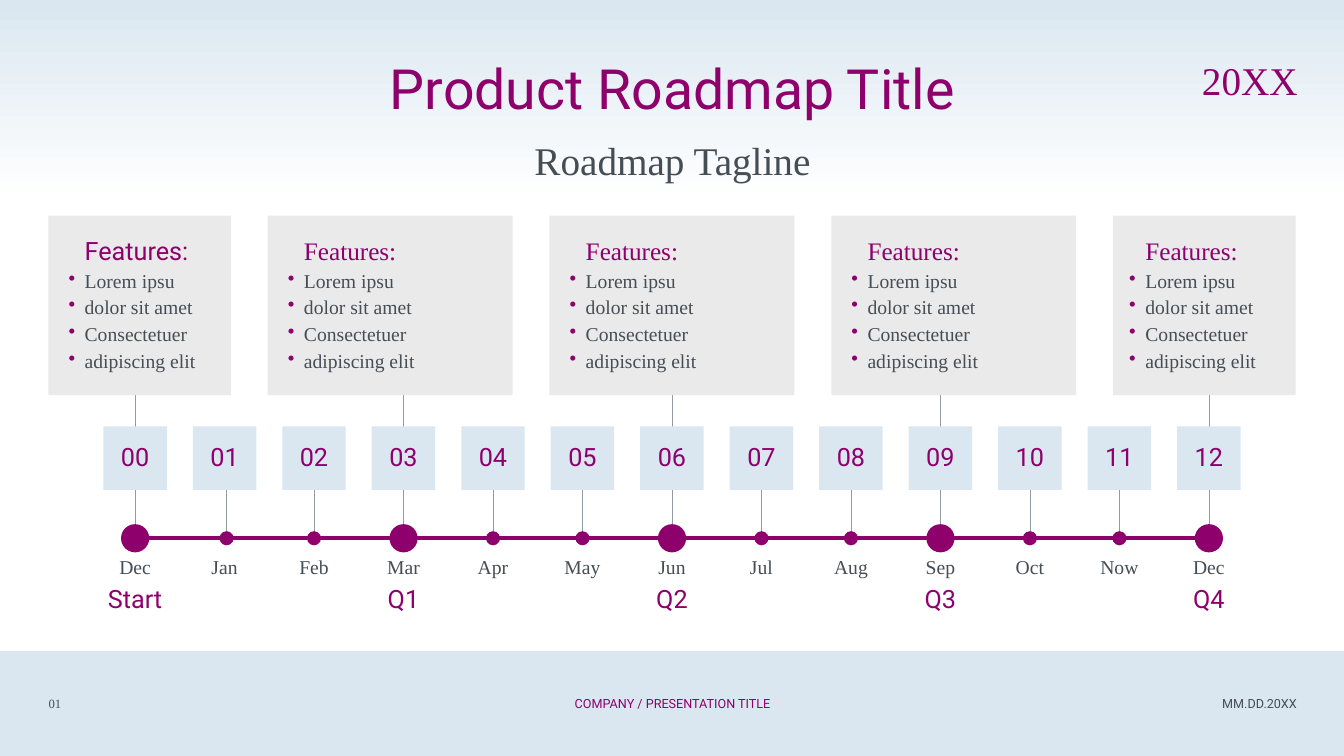
from lxml.etree import SubElement
from pptx import Presentation
from pptx.dml.color import RGBColor
from pptx.enum.shapes import MSO_CONNECTOR as Connector, MSO_SHAPE as Preset
from pptx.enum.text import MSO_ANCHOR as Anchor, PP_ALIGN as Align
from pptx.oxml.ns import qn
from pptx.util import Inches, Pt

PLUM = RGBColor(0x8E, 0x00, 0x6C)
SLATE = RGBColor(0x45, 0x4D, 0x55)
STEM_GREY = RGBColor(0x93, 0x99, 0xA1)
CARD_GREY = RGBColor(0xEA, 0xEA, 0xEA)
PALE_BLUE = RGBColor(0xDA, 0xE7, 0xF0)
WHITE = RGBColor(0xFF, 0xFF, 0xFF)
SANS, SERIF = "Roboto", "Times New Roman"

MONTHS = ["Dec", "Jan", "Feb", "Mar", "Apr", "May", "Jun",
          "Jul", "Aug", "Sep", "Oct", "Now", "Dec"]
MILESTONES = ["Start", "Q1", "Q2", "Q3", "Q4"]
FEATURES = ["Lorem ipsu", "dolor sit amet", "Consectetuer", "adipiscing elit"]
CARD_WIDTHS = [1.81, 2.43, 2.43, 2.43, 1.81]
CARD_LEFT, CARD_GAP = 0.48, 0.365
AXIS_START, AXIS_END, AXIS_Y = 1.34, 11.99, 5.34
NO_INSETS = (0, 0, 0, 0)
BOX_INSETS = (0.1, 0.05, 0.1, 0.05)


class RoadmapSlide:
    """Draws roadmap elements in one style on the current slide."""

    def __init__(self, slide):
        self.slide = slide

    def shape(self, preset, left, top, width, height, fill):
        shape = self.slide.shapes.add_shape(
            preset, Inches(left), Inches(top), Inches(width), Inches(height))
        shape.shadow.inherit = False
        shape.line.fill.background()
        shape.fill.solid()
        shape.fill.fore_color.rgb = fill
        return shape

    def header_band(self):
        band = self.shape(Preset.RECTANGLE, 0, -0.01, 13.33, 2.01, PALE_BLUE)
        band.fill.gradient()
        band.fill.gradient_angle = 270
        for stop, position, color in zip(band.fill.gradient_stops, (0, 1), (PALE_BLUE, WHITE)):
            stop.position = position
            stop.color.rgb = color

    def dot(self, x, y, size):
        self.shape(Preset.OVAL, x - size / 2, y - size / 2, size, size, PLUM)

    def line(self, x1, y1, x2, y2, color, width):
        line = self.slide.shapes.add_connector(
            Connector.STRAIGHT, Inches(x1), Inches(y1), Inches(x2), Inches(y2))
        line.line.color.rgb = color
        line.line.width = Pt(width)
        SubElement(line._element.spPr, qn("a:effectLst"))

    def frame(self, shape, insets, anchor=Anchor.MIDDLE):
        frame = shape.text_frame
        frame.word_wrap = True
        frame.vertical_anchor = anchor
        (frame.margin_left, frame.margin_top,
         frame.margin_right, frame.margin_bottom) = map(Inches, insets)
        return frame

    def style(self, paragraph, size, font, color, align=Align.LEFT, spacing=0.9, before=0):
        paragraph.alignment = align
        paragraph.line_spacing = spacing
        paragraph.space_before = Pt(before)
        for run in paragraph.runs:
            run.font.size = Pt(size)
            run.font.name = font
            run.font.color.rgb = color

    def text(self, text, left, top, width, height, size, font, color,
             align=Align.CENTER, insets=NO_INSETS, anchor=Anchor.MIDDLE, spacing=0.9):
        box = self.slide.shapes.add_textbox(
            Inches(left), Inches(top), Inches(width), Inches(height))
        frame = self.frame(box, insets, anchor)
        frame.text = text
        self.style(frame.paragraphs[0], size, font, color, align, spacing)

    def number_box(self, center, number):
        box = self.shape(Preset.RECTANGLE, center - 0.315, 4.23, 0.63, 0.63, PALE_BLUE)
        frame = self.frame(box, BOX_INSETS)
        frame.text = f"{number:02d}"
        self.style(frame.paragraphs[0], 18, SANS, PLUM, Align.CENTER, before=10)

    def card(self, left, width, heading_font, inset):
        card = self.shape(Preset.RECTANGLE, left, 2.14, width, 1.78, CARD_GREY)
        frame = self.frame(card, (inset, 0.05, 0.1, 0.05))
        frame.text = "\n".join(["Features:"] + FEATURES)
        heading, *items = frame.paragraphs
        self.style(heading, 18, heading_font, PLUM, before=4)
        heading._p.get_or_add_pPr().set("marL", str(Inches(0.16)))
        for item in items:
            self.style(item, 14, SERIF, SLATE, before=4)
            self.bullet(item)

    def bullet(self, paragraph):
        properties = paragraph._p.get_or_add_pPr()
        properties.set("marL", str(Inches(0.16)))
        properties.set("indent", str(Inches(-0.16)))
        color = SubElement(properties, qn("a:buClr"))
        SubElement(color, qn("a:srgbClr"), val=str(PLUM))
        SubElement(properties, qn("a:buChar"), char="•")


def main():
    presentation = Presentation()
    presentation.slide_width = Inches(13.33)
    presentation.slide_height = Inches(7.5)
    roadmap = RoadmapSlide(presentation.slides.add_slide(presentation.slide_layouts[6]))

    roadmap.shape(Preset.RECTANGLE, 0, 6.46, 13.33, 1.04, PALE_BLUE)
    roadmap.header_band()
    roadmap.text("Product Roadmap Title", 1.67, 0.56, 10, 0.75, 39.6, SANS, PLUM,
                 insets=BOX_INSETS, anchor=Anchor.TOP)
    roadmap.text("Roadmap Tagline", 1.67, 1.36, 10, 0.54, 28, SERIF, SLATE,
                 insets=BOX_INSETS, anchor=Anchor.TOP)
    roadmap.text("20XX", 11.82, 0.52, 1.05, 0.6, 28, SERIF, PLUM, Align.RIGHT)

    roadmap.line(AXIS_START, AXIS_Y, AXIS_END, AXIS_Y, PLUM, 2.84)
    pitch = (AXIS_END - AXIS_START) / (len(MONTHS) - 1)
    for number, month in enumerate(MONTHS):
        center = AXIS_START + number * pitch
        quarter, month_in_quarter = divmod(number, 3)
        if month_in_quarter == 0:
            roadmap.line(center, 5.37, center, 3.92, STEM_GREY, 0.5)
            roadmap.dot(center, AXIS_Y, 0.28)
            roadmap.text(MILESTONES[quarter], center - 0.365, 5.81, 0.73, 0.29, 18, SANS, PLUM)
        else:
            stem = center + 0.02 if month == "Jan" else center
            roadmap.line(stem, AXIS_Y, stem, 4.86, STEM_GREY, 0.5)
            roadmap.dot(stem, AXIS_Y, 0.14)
        roadmap.number_box(center, number)
        roadmap.text(month, center - 0.365, 5.49, 0.73, 0.29, 14, SERIF, SLATE)

    left = CARD_LEFT
    for index, width in enumerate(CARD_WIDTHS):
        heading_font = SANS if index == 0 else SERIF
        inset = 0.16 if index == len(CARD_WIDTHS) - 1 else 0.2
        roadmap.card(left, width, heading_font, inset)
        left += width + CARD_GAP

    for text, left, width, font, color, align in [
        ("01", 0.31, 0.47, SERIF, SLATE, Align.CENTER),
        ("COMPANY / PRESENTATION TITLE", 4.42, 4.5, SANS, PLUM, Align.CENTER),
        ("MM.DD.20XX", 9.96, 3, SANS, SLATE, Align.RIGHT),
    ]:
        roadmap.text(text, left, 6.78, width, 0.4, 9, font, color, align, BOX_INSETS, spacing=1.0)

    presentation.save("out.pptx")


if __name__ == "__main__":
    main()
